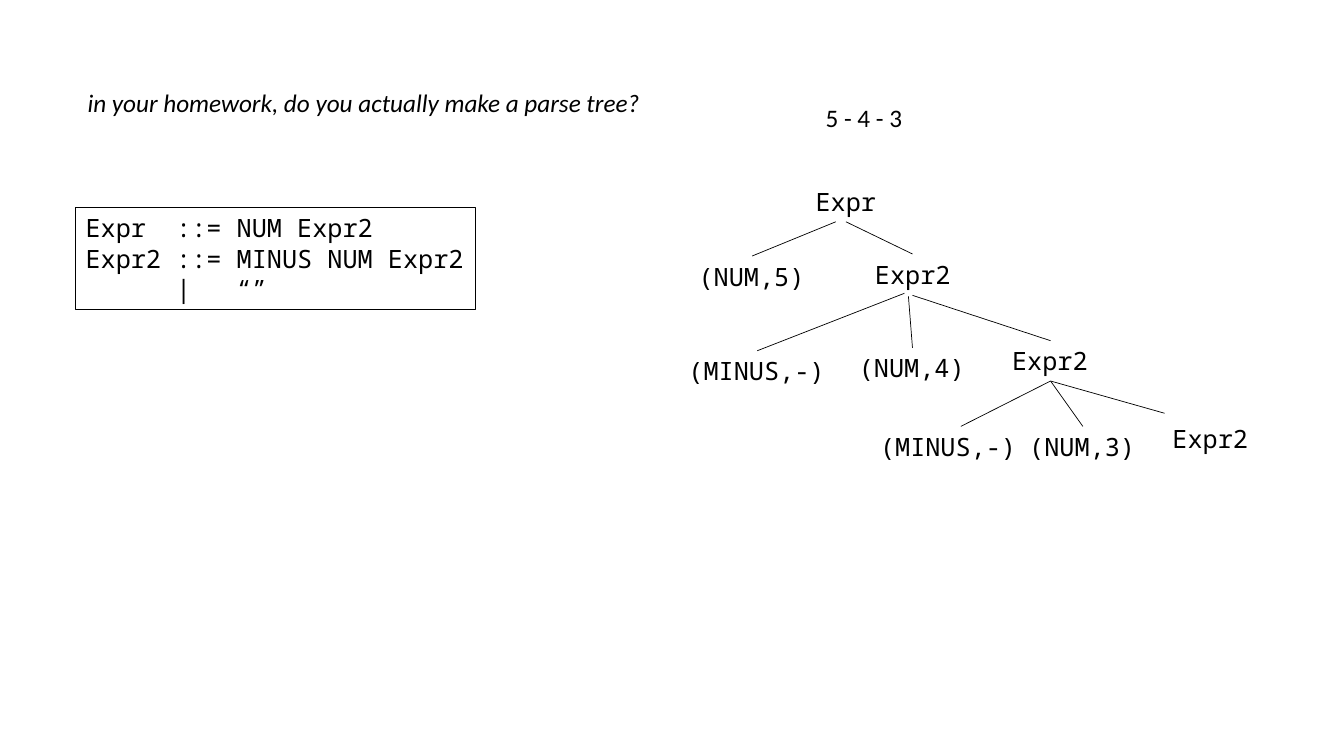
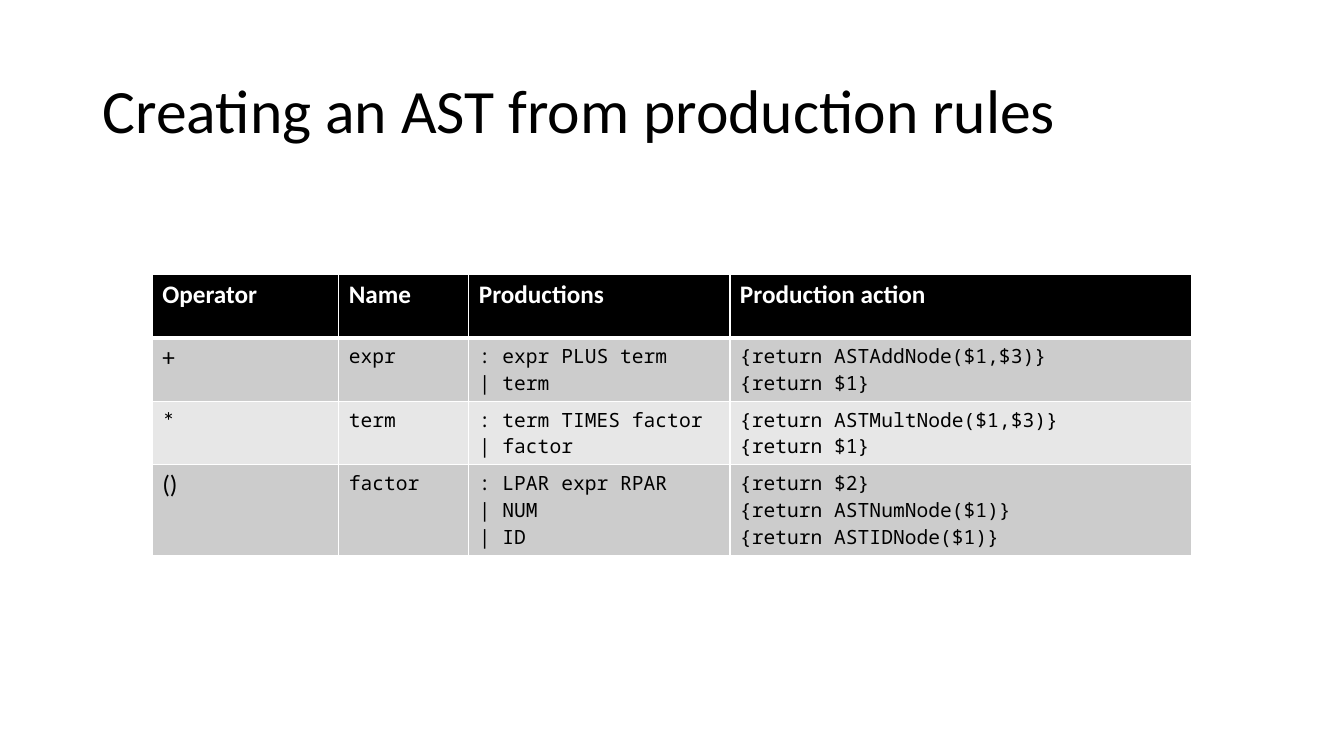
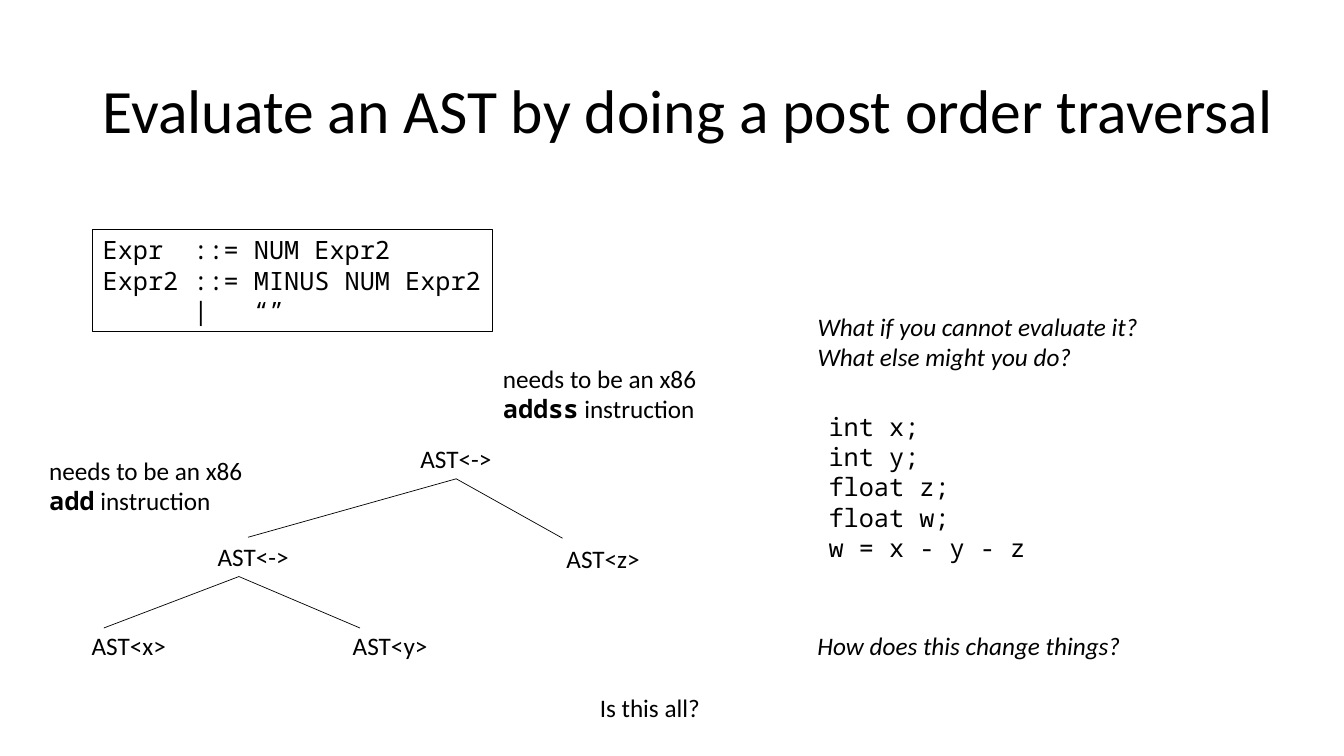
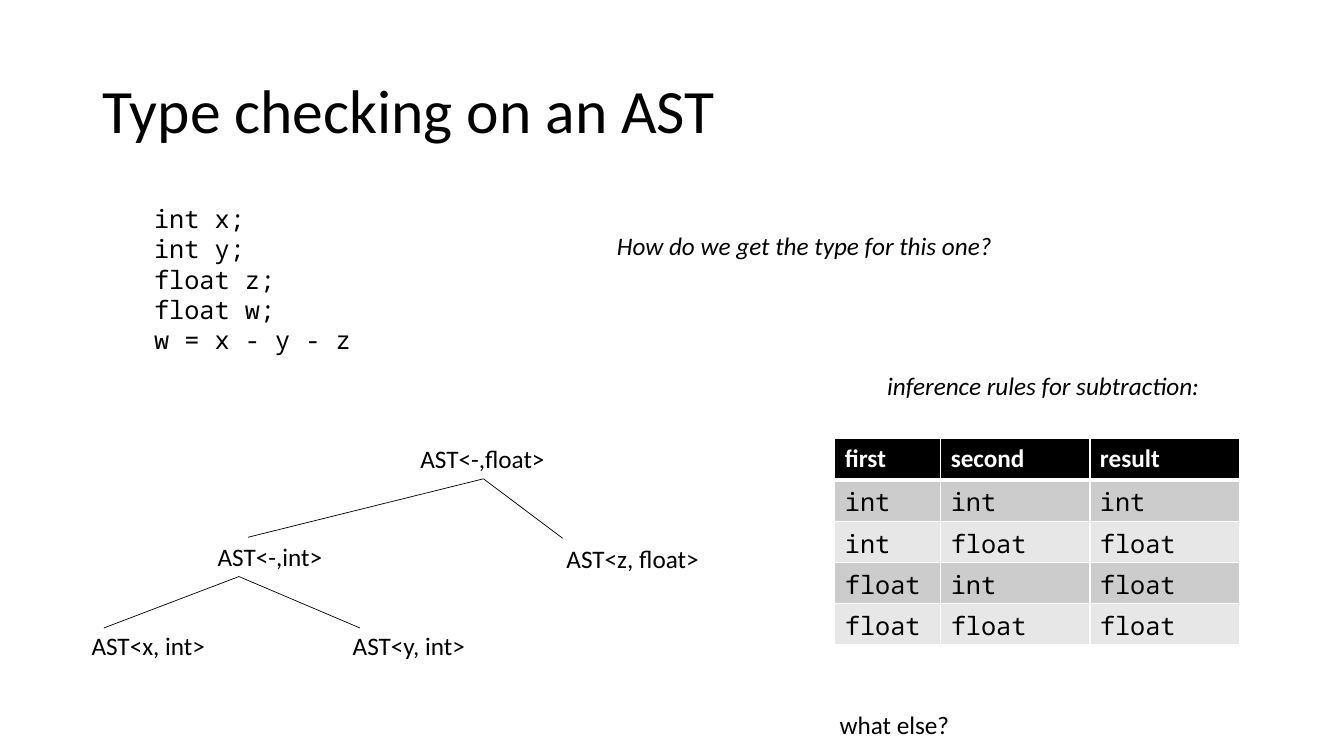
from dataclasses import dataclass

from lxml.etree import SubElement
from pptx import Presentation
from pptx.dml.color import RGBColor
from pptx.enum.shapes import MSO_CONNECTOR, MSO_SHAPE
from pptx.enum.text import MSO_ANCHOR, MSO_AUTO_SIZE, PP_ALIGN
from pptx.oxml.ns import qn
from pptx.util import Inches, Pt


@dataclass(frozen=True)
class Theme:
    ink: str = "000000"
    paper: str = "FFFFFF"
    bands: tuple = ("CCCCCC", "E7E7E7")
    sans: str = "Calibri"
    mono: str = "Noto Sans Mono"
    title: int = 44
    body: int = 18
    small: int = 14
    edge: float = 0.5
    frame: float = 0.75
    rule: int = 1
    header_rule: int = 3


THEME = Theme()
LINE_H = 0.4
GRAMMAR = "Expr  ::= NUM Expr2\nExpr2 ::= MINUS NUM Expr2\n      |   “”"
PROGRAM = "int x;\nint y;\nfloat z;\nfloat w;\vw = x - y - z"


class Deck:
    def __init__(self, theme):
        self.theme = theme
        self.prs = Presentation()
        self.prs.slide_width = Inches(13.33)
        self.prs.slide_height = Inches(7.5)
        self.s = None

    def slide(self, title=None, title_width=11.5):
        self.s = self.prs.slides.add_slide(self.prs.slide_layouts[6])
        if title:
            sp = self.s.shapes.add_textbox(Inches(0.92), Inches(0.4), Inches(title_width), Inches(1.45))
            tf = sp.text_frame
            tf.word_wrap = True
            tf.vertical_anchor = MSO_ANCHOR.MIDDLE
            tf.text = title
            tf.paragraphs[0].line_spacing = 0.9
            self.style(tf, size=self.theme.title)

    def style(self, tf, font=None, size=None, color=None, bold=False, italic=False):
        for p in tf.paragraphs:
            p.alignment = PP_ALIGN.LEFT
            for r in p.runs:
                r.font.name = font or self.theme.sans
                r.font.size = Pt(size or self.theme.body)
                r.font.color.rgb = RGBColor.from_string(color or self.theme.ink)
                r.font.bold = bold
                r.font.italic = italic

    def fit(self, tf):
        tf.word_wrap = False
        tf.auto_size = MSO_AUTO_SIZE.SHAPE_TO_FIT_TEXT

    def text(self, text, left, top, width, height=LINE_H, **style):
        sp = self.s.shapes.add_textbox(Inches(left), Inches(top), Inches(width), Inches(height))
        tf = sp.text_frame
        self.fit(tf)
        tf.text = text
        self.style(tf, **style)
        return tf

    def code(self, text, left, top, width, height=LINE_H):
        self.text(text, left, top, width, height, font=self.theme.mono)

    def remark(self, text, left, top, width, height=LINE_H):
        self.text(text, left, top, width, height, italic=True)

    def instruction(self, opcode, left, top, width):
        tf = self.text("needs to be an x86\v", left, top, width, 0.71)
        p = tf.paragraphs[0]
        for text in (opcode, " instruction"):
            p.add_run().text = text
        self.style(tf)
        r = p.runs[-2]
        r.font.name = self.theme.mono
        r.font.bold = True

    def grammar(self, left, top):
        sp = self.s.shapes.add_shape(MSO_SHAPE.RECTANGLE, Inches(left), Inches(top), Inches(3.97), Inches(1.01))
        sp.shadow.inherit = False
        sp.fill.background()
        sp.line.color.rgb = RGBColor.from_string(self.theme.ink)
        sp.line.width = Pt(self.theme.frame)
        tf = sp.text_frame
        self.fit(tf)
        tf.vertical_anchor = MSO_ANCHOR.TOP
        tf.text = GRAMMAR
        self.style(tf, font=self.theme.mono)

    def edges(self, start, *ends):
        for end in ends:
            cx = self.s.shapes.add_connector(MSO_CONNECTOR.STRAIGHT, *map(Inches, start + end))
            cx.line.color.rgb = RGBColor.from_string(self.theme.ink)
            cx.line.width = Pt(self.theme.edge)
            SubElement(cx._element.spPr, qn("a:effectLst"))

    def ast(self, root, left, right, x, y):
        places = ((4.07, 4.35), (2.06, 5.32), (5.52, 5.34), (0.81, 6.2), (3.4, 6.2))
        for (text, width), place in zip((root, left, right, x, y), places):
            self.text(text, *place, width)
        self.edges((4.07 + root[1] / 2, 4.75), (2.46, 5.33), (5.58, 5.34))
        self.edges((2.37, 5.72), (1.03, 6.23), (3.57, 6.23))

    def borders(self, cell, bottom):
        tcPr = cell._tc.get_or_add_tcPr()
        for side in "LRTB":
            width = bottom if side == "B" else self.theme.rule
            ln = SubElement(tcPr, qn(f"a:ln{side}"), w=str(Pt(width)))
            fill = SubElement(ln, qn("a:solidFill"))
            SubElement(fill, qn("a:srgbClr"), val=self.theme.paper)

    def table(self, rows, left, top, widths, heights, column_styles):
        t = self.theme
        frame = self.s.shapes.add_table(
            len(rows), len(widths), Inches(left), Inches(top),
            Inches(sum(widths)), Inches(sum(heights)))
        table = frame.table
        for column, width in zip(table.columns, widths):
            column.width = Inches(width)
        for i, (row, height) in enumerate(zip(rows, heights)):
            table.rows[i].height = Inches(height)
            for j, text in enumerate(row):
                cell = table.cell(i, j)
                cell.text_frame.text = text
                header = i == 0
                self.borders(cell, t.header_rule if header else t.rule)
                cell.fill.solid()
                fill = t.ink if header else t.bands[(i - 1) % 2]
                cell.fill.fore_color.rgb = RGBColor.from_string(fill)
                style = {"color": t.paper, "bold": True} if header else column_styles[j]
                self.style(cell.text_frame, **style)


def parse_tree_slide(deck):
    deck.slide()
    deck.grammar(0.75, 2.06)
    deck.remark("in your homework, do you actually make a parse tree?", 0.77, 0.82, 5.74)
    deck.text("5 - 4 - 3", 8.09, 0.97, 0.97)
    nodes = [
        ("Expr", 7.99, 1.8), ("(NUM,5)", 6.83, 2.54), ("Expr2", 8.58, 2.52),
        ("(MINUS,-)", 6.73, 3.48), ("(NUM,4)", 8.42, 3.45), ("Expr2", 9.94, 3.38),
        ("(MINUS,-)", 8.63, 4.23), ("(NUM,3)", 10.11, 4.23), ("Expr2", 11.53, 4.15),
    ]
    for text, left, top in nodes:
        deck.code(text, left, top, 0.21 + 0.15 * len(text))
    deck.edges((8.29, 2.2), (7.46, 2.54))
    deck.edges((8.39, 2.2), (9.05, 2.52))
    deck.edges((8.97, 2.91), (7.51, 3.48))
    deck.edges((9.01, 2.94), (9.05, 3.45))
    deck.edges((9.05, 2.93), (10.42, 3.38))
    deck.edges((10.42, 3.78), (9.53, 4.23), (10.74, 4.23), (11.55, 4.1))


def production_slide(deck):
    deck.slide("Creating an AST from production rules")
    rows = [
        ("Operator", "Name", "Productions", "Production action"),
        ("+", "expr", ": expr PLUS term\v| term", "{return ASTAddNode($1,$3)}\n{return $1}"),
        ("*", "term", ": term TIMES factor\v| factor", "{return ASTMultNode($1,$3)}\n{return $1}"),
        ("()", "factor", ": LPAR expr RPAR\v| NUM\n| ID",
         "{return $2}\n{return ASTNumNode($1)}\n{return ASTIDNode($1)}"),
    ]
    code = {"font": THEME.mono, "size": THEME.small}
    deck.table(rows, 1.51, 2.72, (1.85, 1.29, 2.59, 4.58), [0.63] * 3 + [0.9], [{}] + [code] * 3)


def evaluate_slide(deck):
    deck.slide("Evaluate an AST by doing a post order traversal", 12.05)
    deck.grammar(0.92, 2.28)
    deck.code(PROGRAM, 8.12, 4.03, 2.16, 1.62)
    deck.ast(("AST<->", 0.91), ("AST<->", 0.91), ("AST<z>", 0.94), ("AST<x>", 0.95), ("AST<y>", 0.95))
    tf = deck.text("What if you cannot evaluate it?\vWhat else might you do?", 8.01, 3.04, 4.21, 0.71, italic=True)
    tf.word_wrap = True
    deck.remark("How does this change things?", 8.01, 6.2, 3.24)
    deck.instruction("add", 0.39, 4.47, 2.14)
    deck.instruction("addss", 4.89, 3.55, 2.18)
    deck.text("Is this all?", 5.85, 6.82, 1.21)


def type_check_slide(deck):
    deck.slide("Type checking on an AST")
    deck.ast(("AST<-,float>", 1.45), ("AST<-,int>", 1.25), ("AST<z, float>", 1.53),
             ("AST<x, int>", 1.34), ("AST<y, int>", 1.33))
    deck.code(PROGRAM, 1.43, 1.97, 2.16, 1.62)
    deck.remark("How do we get the type for this one?", 6.02, 2.24, 3.97)
    deck.remark("inference rules for subtraction:", 8.7, 3.62, 3.42)
    rows = [
        ("first", "second", "result"),
        ("int", "int", "int"),
        ("int", "float", "float"),
        ("float", "int", "float"),
        ("float", "float", "float"),
    ]
    deck.table(rows, 8.28, 4.35, (1.05, 1.48, 1.48), [0.41] * 5, [{"font": THEME.mono}] * 3)
    deck.text("what else?", 8.23, 6.99, 1.3)


def main():
    deck = Deck(THEME)
    for build in (parse_tree_slide, production_slide, evaluate_slide, type_check_slide):
        build(deck)
    deck.prs.save("out.pptx")


if __name__ == "__main__":
    main()
